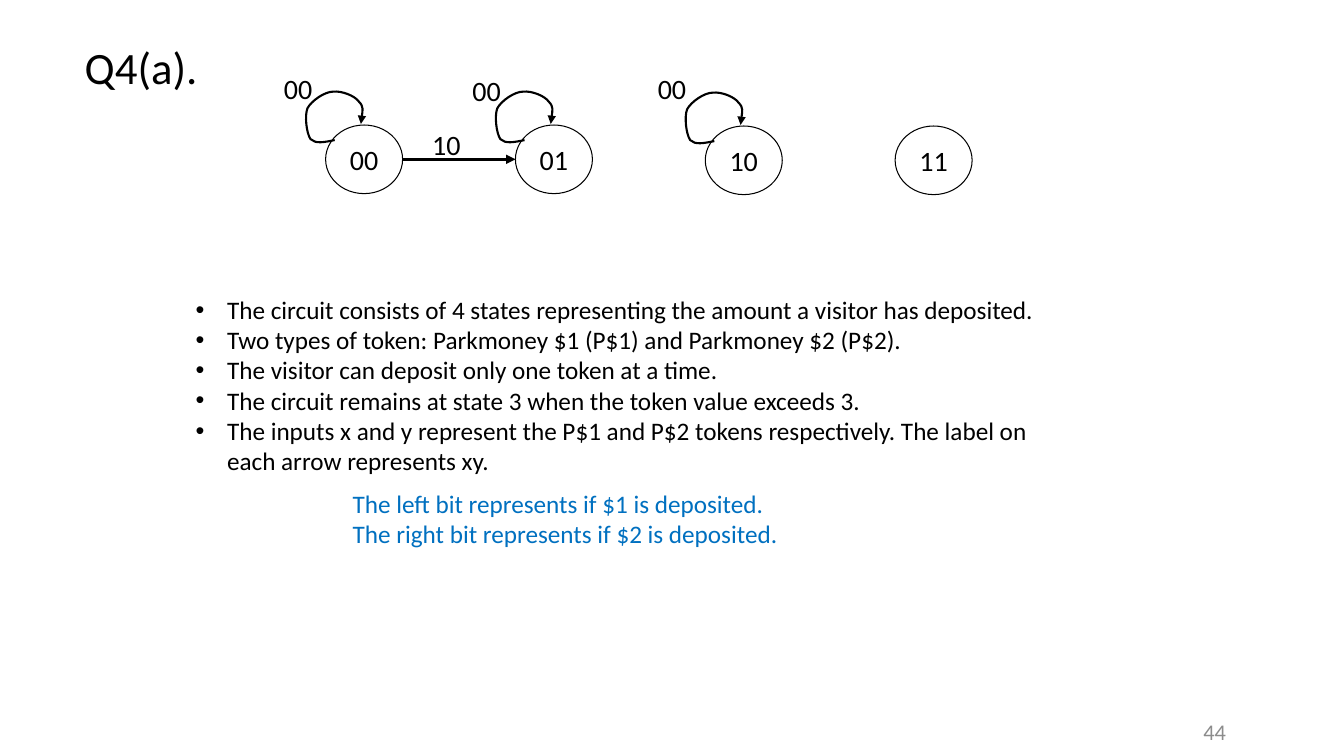
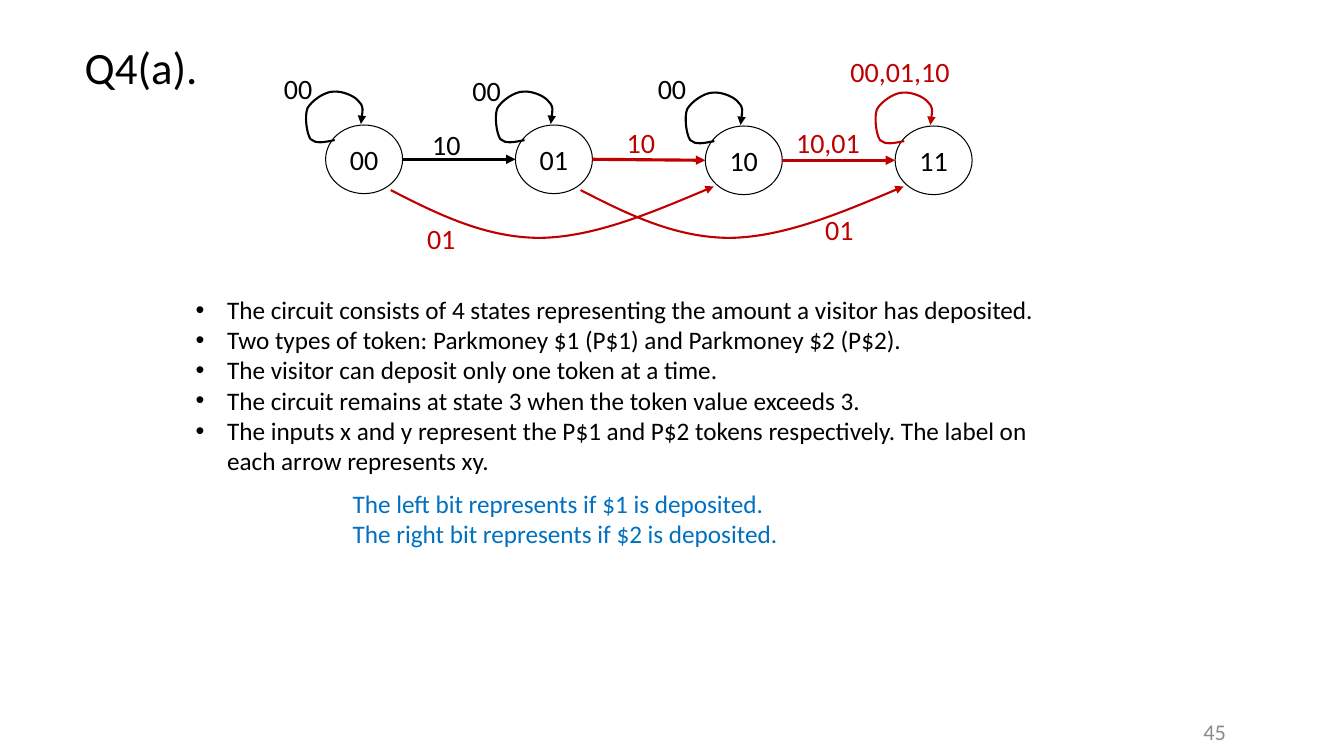
from lxml.etree import SubElement
from pptx import Presentation
from pptx.dml.color import RGBColor
from pptx.enum.shapes import MSO_CONNECTOR, MSO_SHAPE
from pptx.enum.text import MSO_ANCHOR, MSO_AUTO_SIZE, PP_ALIGN
from pptx.oxml.ns import qn
from pptx.util import Pt

# Shared settings, lengths in points
COLOURS = {"black": "000000", "white": "FFFFFF", "red": "C00000",
           "blue": "0070C0", "grey": "8C8C8C"}
FONT = "Calibri"
FIRST_NUMBER = 44
NODE_LEFT, NODE_PITCH = 232.6, 135.6
NODE_WIDTH, NODE_HEIGHT = 55, 49
NODES = [("00", 89.3), ("01", 89.3), ("10", 90), ("11", 90)]

# Cubic curves as offsets from the top left corner of a node
LOOP = [(6.5, 10.8),
        (-0.7, 12.2), (-7.2, 13.7), (-10.8, 10.1),
        (-13.7, 5.8), (-15.1, -6.5), (-13, -11.9),
        (-10.1, -17.3), (-0.7, -23.8), (5.4, -23.8),
        (11.5, -24.5), (20.9, -20.9), (23.8, -16.6),
        (27.4, -13), (25.9, -7.2), (25.2, -0.7)]
SKIP = [(46.5, 46.5),
        (80.6, 64), (114.5, 80.6), (153.4, 80.6),
        (191.5, 80), (234.7, 61.9), (277.2, 43.9)]

# Transitions: (node, curve, colour), (node, colour), (text, left, top, width, colour)
GIVEN_CURVES = [(node, LOOP, "black") for node in range(3)]
GIVEN_ARROWS = [(0, "black")]
GIVEN_LABELS = [("00", 193, 50.4, 40, "black"), ("00", 327.6, 51.8, 40, "black"),
                ("00", 460, 50.4, 40, "black"), ("10", 298.8, 90, 40, "black")]
ANSWER_CURVES = [(3, LOOP, "red"), (0, SKIP, "red"), (1, SKIP, "red")]
ANSWER_ARROWS = [(1, "red"), (2, "red")]
ANSWER_LABELS = [("00,01,10", 594.7, 38.2, 96.5, "red"), ("01", 295.2, 157.7, 40, "red"),
                 ("01", 579.6, 151.2, 40, "red"), ("10", 437.8, 88.6, 40, "red"),
                 ("10,01", 558, 88.6, 67, "red")]
SLIDES = [(GIVEN_CURVES, GIVEN_ARROWS, GIVEN_LABELS),
          (GIVEN_CURVES + ANSWER_CURVES, GIVEN_ARROWS + ANSWER_ARROWS,
           GIVEN_LABELS + ANSWER_LABELS)]

FACTS = """The circuit consists of 4 states representing the amount a visitor has deposited.
Two types of token: Parkmoney $1 (P$1) and Parkmoney $2 (P$2).
The visitor can deposit only one token at a time.
The circuit remains at state 3 when the token value exceeds 3.
The inputs x and y represent the P$1 and P$2 tokens respectively. The label on each arrow represents xy."""
HINT = """The left bit represents if $1 is deposited.
The right bit represents if $2 is deposited."""


def write(box, text, size=20, colour="black", align=PP_ALIGN.LEFT,
          anchor=MSO_ANCHOR.TOP, margins=(7.2, 3.6), wrap=True, hanging=0):
    """Fill a shape with one paragraph per line of text."""
    frame = box.text_frame
    frame.word_wrap = wrap
    frame.auto_size = MSO_AUTO_SIZE.NONE
    frame.vertical_anchor = anchor
    frame.margin_left = frame.margin_right = Pt(margins[0])
    frame.margin_top = frame.margin_bottom = Pt(margins[1])
    for index, line in enumerate(text.split("\n")):
        para = frame.add_paragraph() if index else frame.paragraphs[0]
        para.alignment = align
        para.space_before = Pt(0)
        if hanging:
            properties = para._p.get_or_add_pPr()
            properties.set("marL", str(Pt(hanging)))
            properties.set("indent", str(-Pt(hanging)))
        span = para.add_run()
        span.text = line
        span.font.name = FONT
        span.font.size = Pt(size)
        span.font.color.rgb = RGBColor.from_string(COLOURS[colour])


def style_arrow(shape, colour, width):
    """Give a line its colour, width and arrowhead, without a shadow."""
    shape.line.color.rgb = RGBColor.from_string(COLOURS[colour])
    shape.line.width = Pt(width)
    properties = shape.element.spPr
    SubElement(properties.find(qn("a:ln")), qn("a:tailEnd"), type="triangle")
    SubElement(properties, qn("a:effectLst"))


deck = Presentation()
deck.slide_width, deck.slide_height = Pt(960), Pt(540)

for number, (curves, arrows, labels) in enumerate(SLIDES, FIRST_NUMBER):
    page = deck.slides.add_slide(deck.slide_layouts[1])
    shapes = page.shapes

    # Title and list
    title, body = page.placeholders
    title.left, title.top, title.width, title.height = Pt(53.3), Pt(24.5), Pt(102), Pt(52)
    write(title, "Q4(a).", size=32)
    body.left, body.top, body.width, body.height = Pt(132.5), Pt(206.6), Pt(628.5), Pt(138)
    write(body, FACTS, size=18, hanging=22.5)

    # Hint and slide number
    box = shapes.add_textbox(Pt(244.8), Pt(344.9), Pt(322), Pt(73))
    write(box, HINT, size=18, colour="blue", wrap=False)
    box = shapes.add_textbox(Pt(779.8), Pt(508.3), Pt(103), Pt(28.8))
    write(box, str(number), size=16, colour="grey", align=PP_ALIGN.RIGHT,
          anchor=MSO_ANCHOR.MIDDLE)

    # States
    states = []
    for index, (name, top) in enumerate(NODES):
        state = shapes.add_shape(MSO_SHAPE.OVAL, Pt(NODE_LEFT + index * NODE_PITCH),
                                 Pt(top), Pt(NODE_WIDTH), Pt(NODE_HEIGHT))
        state.shadow.inherit = False
        state.fill.solid()
        state.fill.fore_color.rgb = RGBColor.from_string(COLOURS["white"])
        state.line.color.rgb = RGBColor.from_string(COLOURS["black"])
        state.line.width = Pt(0.75)
        write(state, name, align=PP_ALIGN.CENTER, anchor=MSO_ANCHOR.MIDDLE, margins=(0, 0))
        states.append(state)

    # Straight arrows to the next state
    for index, colour in arrows:
        start, end = states[index], states[index + 1]
        arrow = shapes.add_connector(
            MSO_CONNECTOR.STRAIGHT,
            start.left + start.width, start.top + start.height // 2,
            end.left, end.top + end.height // 2)
        style_arrow(arrow, colour, 2.25)

    # Curved arrows: every three line segments become one cubic curve
    for index, offsets, colour in curves:
        state = states[index]
        points = [(state.left + Pt(x), state.top + Pt(y)) for x, y in offsets]
        builder = shapes.build_freeform(*points[0], scale=1.0)
        builder.add_line_segments(points[1:], close=False)
        curve = builder.convert_to_shape()
        segments = curve.element.xpath(".//a:lnTo")
        outline = segments[0].getparent()
        for first in range(0, len(segments), 3):
            cubic = SubElement(outline, qn("a:cubicBezTo"))
            for segment in segments[first:first + 3]:
                cubic.append(segment[0])
                outline.remove(segment)
        curve.fill.background()
        style_arrow(curve, colour, 1.5)

    # Labels on the arrows
    for text, left, top, width, colour in labels:
        box = shapes.add_textbox(Pt(left), Pt(top), Pt(width), Pt(26))
        write(box, text, colour=colour, align=PP_ALIGN.CENTER, margins=(0.7, 0.7))

deck.save("out.pptx")
